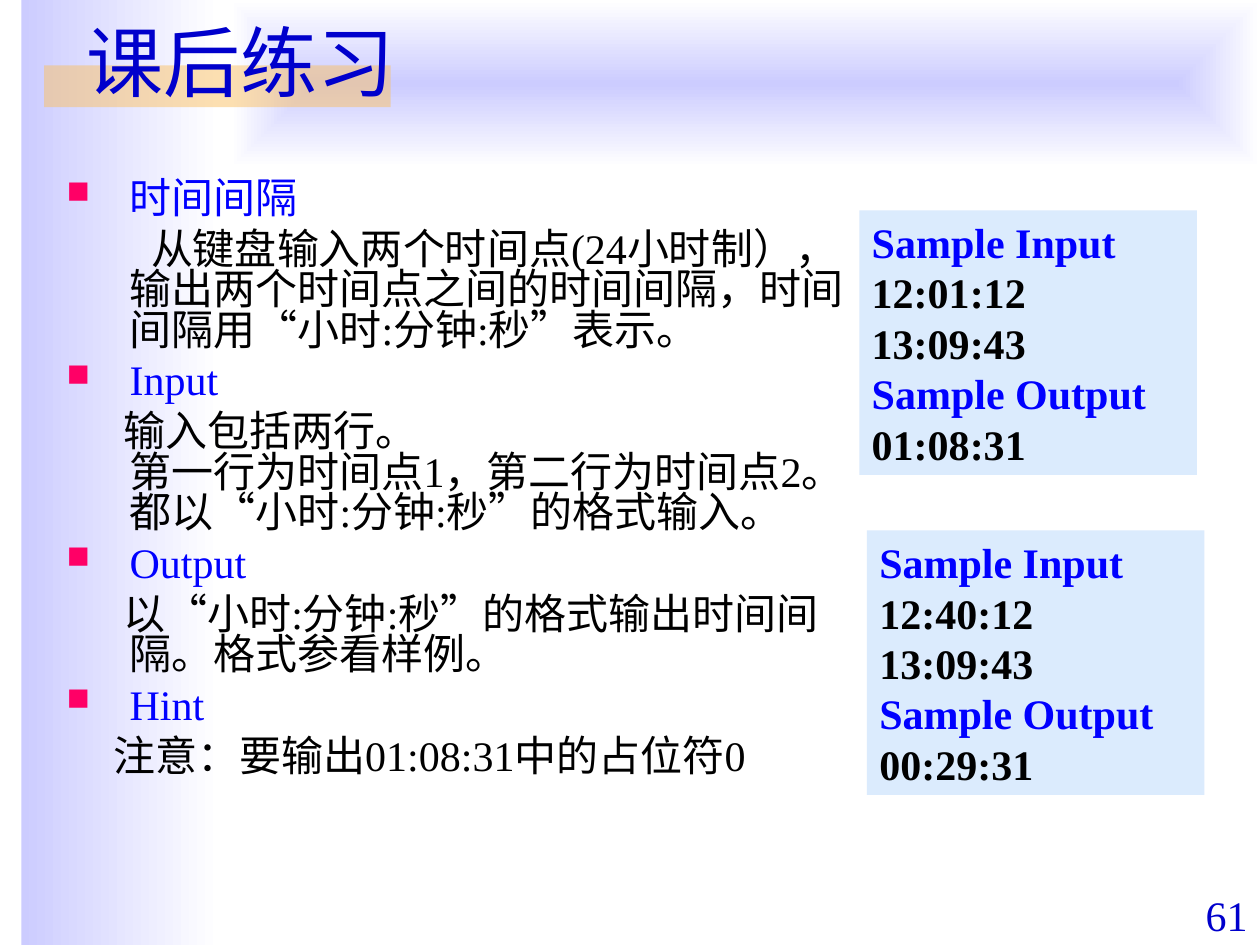
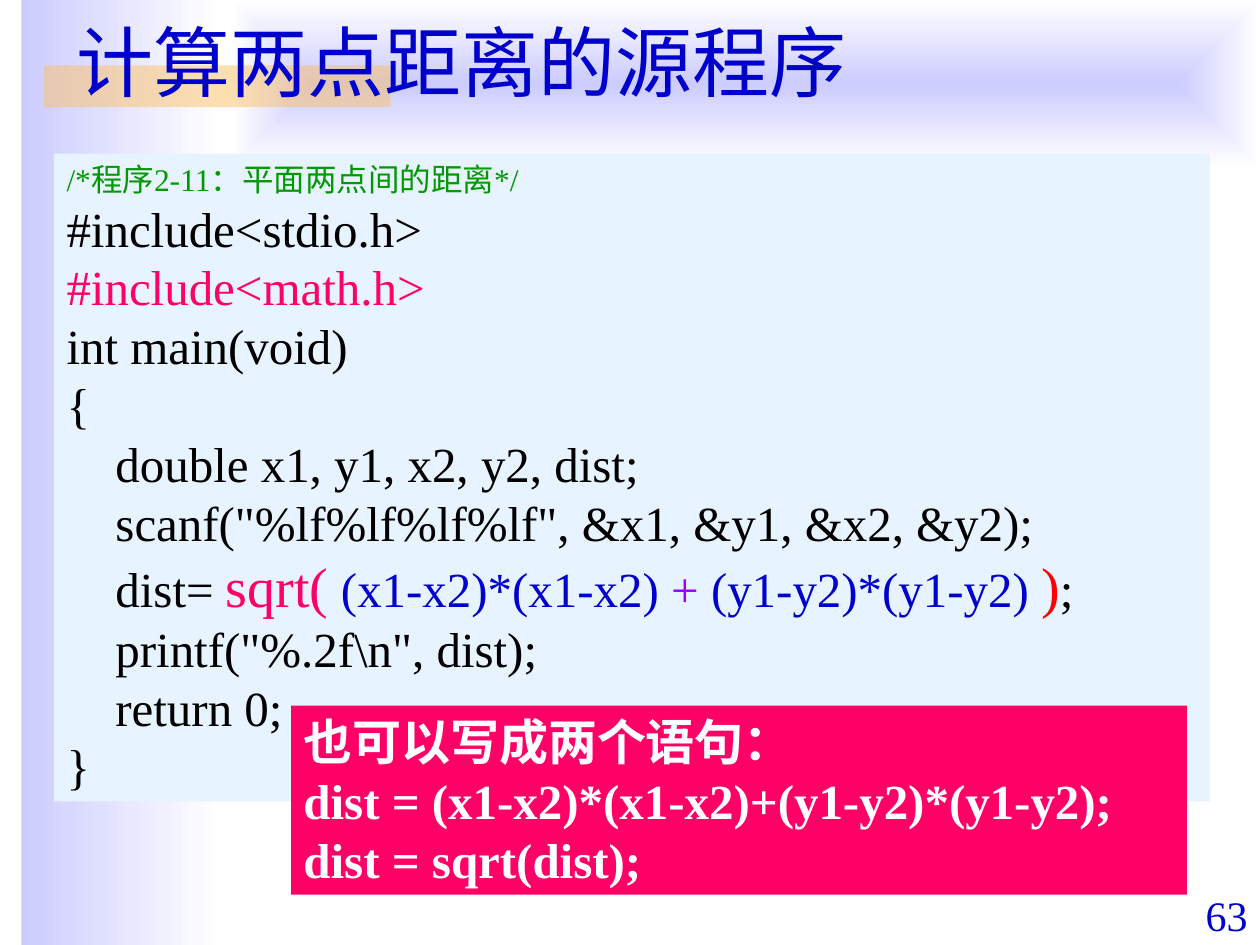
from lxml import etree
from pptx import Presentation
from pptx import util as u
from pptx.dml import color as dml
from pptx.enum import shapes, text
from pptx.oxml import ns

FONT = "Times New Roman"
NAVY, BLUE, PINK, BLACK = "0000CC", "0000FF", "FF0066", "000000"
LILAC, WHITE, PALE = "CCCCFF", "FFFFFF", "DBEBFD"
hue = dml.RGBColor.from_string


def panel(slide, x, y, w, h, fill=None):
    area = [u.Inches(n) for n in (x, y, w, h)]
    if fill:
        box = slide.shapes.add_shape(shapes.MSO_SHAPE.RECTANGLE, *area)
        box.shadow.inherit = False
        box.line.fill.background()
        box.fill.solid()
        box.fill.fore_color.rgb = hue(fill)
    else:
        box = slide.shapes.add_textbox(*area)
    frame = box.text_frame
    frame.word_wrap = True
    frame.vertical_anchor = text.MSO_ANCHOR.TOP
    return box


def write(frame, words, size, color, bold=False, bullet=False):
    para = frame.paragraphs[0]
    if para.runs:
        para = frame.add_paragraph()
    para.alignment = text.PP_ALIGN.LEFT
    if bullet:
        props = para._p.get_or_add_pPr()
        tint = etree.SubElement(props, ns.qn("a:buClr"))
        etree.SubElement(tint, ns.qn("a:srgbClr"), val=PINK)
        etree.SubElement(props, ns.qn("a:buSzPct"), val="75000")
        etree.SubElement(props, ns.qn("a:buFont"), typeface="Wingdings", charset="2")
        etree.SubElement(props, ns.qn("a:buChar"), char="n")
    para.text = words
    font = para.font
    font.name, font.size, font.bold = FONT, u.Pt(size), bold
    font.color.rgb = hue(color)
    return para


deck = Presentation()
deck.slide_width, deck.slide_height = u.Inches(10), u.Inches(7.5)
pages = []
for name, left, number in [("课后练习", 0.59, "61"), ("计算两点距离的源程序", 0.51, "63")]:
    slide = deck.slides.add_slide(deck.slide_layouts[5])
    side = panel(slide, 0.17, 0, 1.58, 7.5, LILAC)
    band = panel(slide, 1.83, 0, 8.17, 1.33, LILAC)
    for box in (side, band):
        box.fill.gradient()
        box.fill.gradient_angle = 0
        for stop, tone in zip(box.fill.gradient_stops, (LILAC, WHITE)):
            stop.color.rgb = hue(tone)
        stop.position = 1
    line = band.element.find(".//" + ns.qn("a:lin"))
    path = etree.Element(ns.qn("a:path"), path="rect")
    etree.SubElement(path, ns.qn("a:fillToRect"), l="50000", t="50000", r="50000", b="50000")
    line.getparent().replace(line, path)
    mark = panel(slide, 0.35, 0.52, 2.75, 0.33, "FAC164")
    tint = mark.element.find(".//" + ns.qn("a:srgbClr"))
    etree.SubElement(tint, ns.qn("a:alpha"), val="50000")

    title = slide.shapes.title
    slide.shapes.element.append(title.element)
    title.left, title.top = u.Inches(left), u.Inches(-0.03)
    title.width, title.height = u.Inches(9.64 - left), u.Inches(1.02)
    title.text_frame.auto_size = text.MSO_AUTO_SIZE.NONE
    title.text_frame.vertical_anchor = text.MSO_ANCHOR.MIDDLE
    write(title.text_frame, name, 44, NAVY)

    foot = panel(slide, 9, 7.01, 1, 0.5).text_frame
    foot.vertical_anchor = text.MSO_ANCHOR.BOTTOM
    write(foot, number, 24, NAVY).alignment = text.PP_ALIGN.RIGHT
    pages.append(slide)
task, code = pages

body = panel(task, 0.43, 1.39, 6.41, 5.42).text_frame
parts = [
    ("时间间隔", 0.17, "从键盘输入两个时间点(24小时制），输出两个时间点之间的时间间隔，时间间隔用“小时:分钟:秒”表示。"),
    ("Input", -0.05, "输入包括两行。\v第一行为时间点1，第二行为时间点2。都以“小时:分钟:秒”的格式输入。"),
    ("Output", -0.05, "以“小时:分钟:秒”的格式输出时间间隔。格式参看样例。"),
    ("Hint", -0.13, "注意：要输出01:08:31中的占位符0"),
]
for head, indent, words in parts:
    rows = [
        (write(body, head, 24, BLUE, bullet=True), -0.5),
        (write(body, words, 24, BLACK), indent),
    ]
    for para, shift in rows:
        para.line_spacing = 0.8
        para.space_before = u.Pt(6)
        props = para._p.get_or_add_pPr()
        props.set("marL", str(u.Inches(0.5)))
        props.set("indent", str(u.Inches(shift)))
        props.set("hangingPunct", "0")
body.paragraphs[0].space_before = u.Pt(0)

samples = [
    (6.82, 1.67, "12:01:12 13:09:43", "01:08:31"),
    (6.88, 4.21, "12:40:12 13:09:43", "00:29:31"),
]
for x, y, given, result in samples:
    frame = panel(task, x, y, 2.68, 2.1, PALE).text_frame
    for head, value in [("Sample Input", given), ("Sample Output", result)]:
        write(frame, head, 24, BLUE, True)
        write(frame, value, 24, BLACK, True)

frame = panel(code, 0.43, 1.22, 9.17, 5.14, "E7F3FF").text_frame
frame.vertical_anchor = text.MSO_ANCHOR.MIDDLE
write(frame, "/*程序2-11：平面两点间的距离*/", 18, "009900")
source = r'''#include<stdio.h>
#include<math.h>
int main(void)
{
    double x1, y1, x2, y2, dist;
    scanf("%lf%lf%lf%lf", &x1, &y1, &x2, &y2);
    dist= 
    printf("%.2f\n", dist);
    return 0;
}'''
for row in source.split("\n"):
    para = write(frame, row, 28, PINK if "math" in row else BLACK)
    if "dist=" in row:
        formula = para
pieces = [
    ("sqrt(", 32, PINK),
    (" ", 28, BLACK),
    ("(x1-x2)*(x1-x2) ", 28, NAVY),
    ("+ ", 28, "9900FF"),
    ("(y1-y2)*(y1-y2) ", 28, NAVY),
    (")", 32, "FF0000"),
    (";", 28, BLACK),
]
for words, size, tone in pieces:
    run = formula.add_run()
    run.text = words
    run.font.size = u.Pt(size)
    run.font.color.rgb = hue(tone)

note = panel(code, 2.31, 5.6, 7.11, 1.5, PINK).text_frame
for row in ["也可以写成两个语句：", "dist = (x1-x2)*(x1-x2)+(y1-y2)*(y1-y2);", "dist = sqrt(dist);"]:
    write(note, row, 28, WHITE, True)

deck.save("out.pptx")
